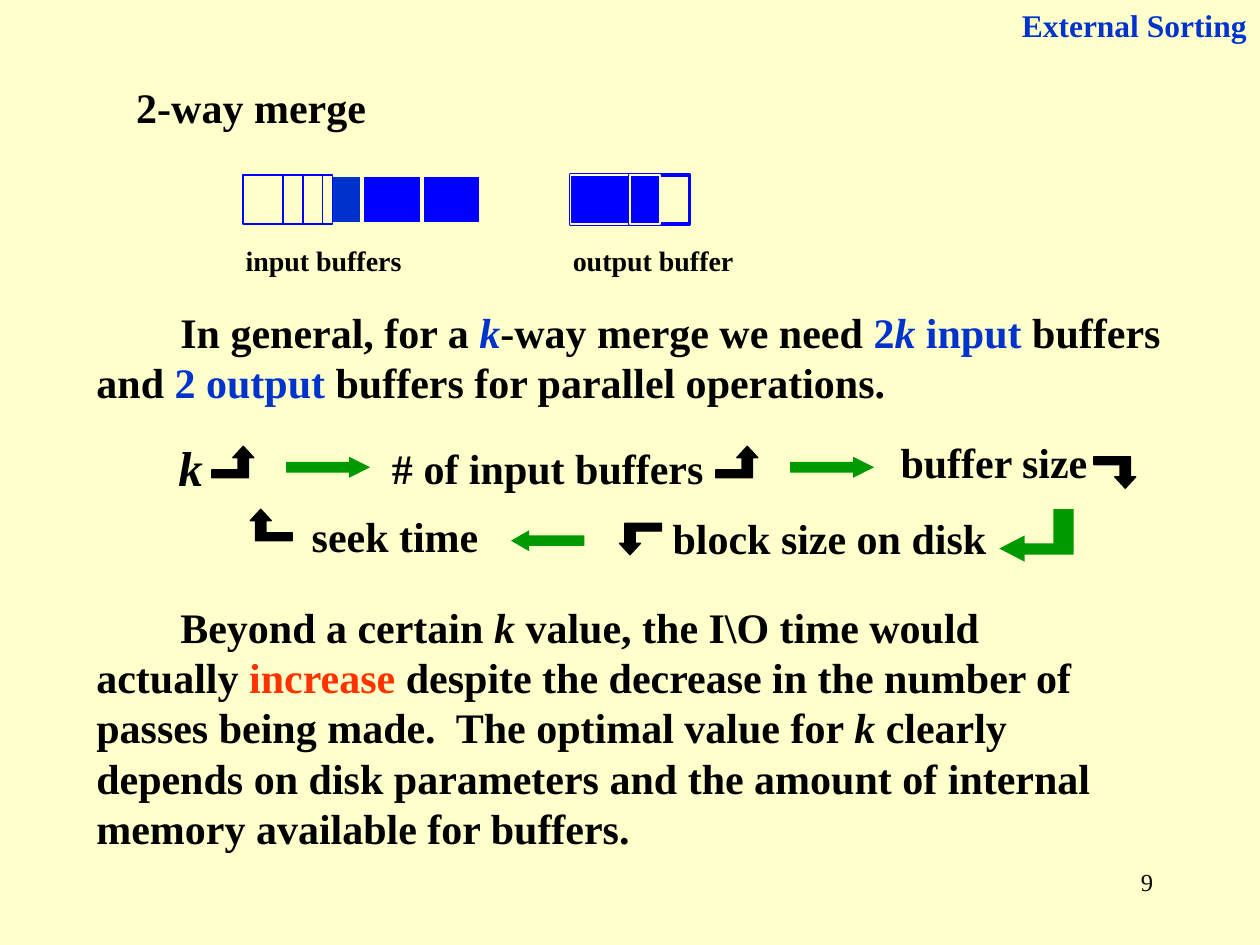
from pptx import Presentation, util as u
from pptx.dml.color import RGBColor
from pptx.enum import shapes, text

Pt = u.Pt
Kind = shapes.MSO_SHAPE
Side = text.PP_ALIGN

BLACK, NAVY, BLUE = "000000", "0033CC", "0000FF"
RED, GREEN, CREAM = "FF3300", "009900", "FFFFCC"

# Outlines in points, from the top left corner of each arrow
BEND = [(18, 0), (12, 6.5), (15, 6.5), (15, 13.5), (0, 13.5),
        (0, 18), (21, 18), (21, 6.5), (24, 6.5)]
TURN = [(0, 22.5), (14.5, 15), (14.5, 19.5), (31, 19.5), (31, 0),
        (42.5, 0), (42.5, 26), (14.5, 26), (14.5, 30)]


def paint(fmt, hue):
    fmt.solid()
    fmt.fore_color.rgb = RGBColor.from_string(hue)


class Page:
    def __init__(self, slide, font="Times New Roman"):
        self.slide = slide
        self.font = font

    def style(self, shape, fill=None, line=None, width=0.75):
        shape.shadow.inherit = False
        if fill:
            paint(shape.fill, fill)
        else:
            shape.fill.background()
        if line:
            paint(shape.line.fill, line)
            shape.line.width = Pt(width)
        else:
            shape.line.fill.background()

    def shape(self, kind, x, y, w, h, *look):
        item = self.slide.shapes.add_shape(kind, Pt(x), Pt(y), Pt(w), Pt(h))
        self.style(item, *look)
        return item

    def arrow(self, kind, x, y, w, head):
        """Draw a straight arrow; head is its head length over its height."""
        item = self.shape(kind, x, y, w, 12, GREEN)
        item.adjustments[0] = 0.5
        item.adjustments[1] = head

    def outline(self, x, y, dots, *look):
        first, *rest = [(Pt(x + dx), Pt(y + dy)) for dx, dy in dots]
        pen = self.slide.shapes.build_freeform(*first, scale=1.0)
        pen.add_line_segments(rest, close=True)
        self.style(pen.convert_to_shape(), *look)

    def bend(self, x, y, left=False, down=False):
        """Draw a black bent arrow that points up at the right, or mirrored."""
        dots = [(24 - dx if left else dx, 18 - dy if down else dy)
                for dx, dy in BEND]
        self.outline(x, y, dots, BLACK, BLACK)

    def text(self, x, y, w, h, runs, size=24, bold=True, align=Side.LEFT,
             indent=0):
        """Add a text box; each run is (words, colour, italic)."""
        box = self.slide.shapes.add_textbox(Pt(x), Pt(y), Pt(w), Pt(h))
        frame = box.text_frame
        frame.word_wrap = True
        para = frame.paragraphs[0]
        para.alignment = align
        if indent:
            para._p.get_or_add_pPr().set("indent", str(Pt(indent)))
        for words, hue, slant in runs:
            run = para.add_run()
            run.text = words
            run.font.name = self.font
            run.font.size = Pt(size)
            run.font.bold = bold
            run.font.italic = slant
            paint(run.font.fill, hue)
        return frame

    def label(self, x, y, w, h, words, size=24, slant=False):
        """Add one centred line that does not wrap."""
        frame = self.text(x, y, w, h, [(words, BLACK, slant)], size,
                          align=Side.CENTER)
        frame.word_wrap = False
        frame.margin_left = frame.margin_right = 0
        frame.vertical_anchor = text.MSO_ANCHOR.MIDDLE


def buffers(page):
    cell, top, high = 34, 100, 28
    start, out = 139, 326
    cells = [  # left edge, width in cells, fill, line, line width
        (start, 1, NAVY, CREAM, 2),
        (start + cell, 1, NAVY, CREAM, 2),
        (out, 1, None, BLUE, 2),
        (start, 2 / 3, CREAM, BLUE, 1),
        (out, 1, BLUE, CREAM, 1),
        (start + cell, 1 / 3, CREAM, BLUE, 1),
        (out + cell, 1, CREAM, BLUE, 2),
        (start + cell * 2 / 3, 1 / 3, CREAM, BLUE, 1),
        (start + cell * 4 / 3, 1 / 6, CREAM, BLUE, 1),
        (out + cell, 1 / 2, BLUE, CREAM, 1),
        (start + 2 * cell, 1, BLUE, CREAM, 2),
        (start + 3 * cell, 1, BLUE, CREAM, 2),
    ]
    for x, part, *look in cells:
        page.shape(Kind.RECTANGLE, x, top, cell * part, high, *look)
    for x, words in ((start, "input buffers"), (out, "output buffer")):
        page.text(x - 5.75, 135.75, 114, 26.5, [(words, BLACK, False)], 16)


def chain(page):
    page.label(91, 249, 36, 36, "k", 28, True)
    page.label(217, 255, 192, 24, "# of input buffers")
    page.label(505, 249, 126, 30, "buffer size")
    page.label(378, 292.5, 192, 30, "block size on disk")
    page.label(144.5, 291, 162.5, 30, "seek time")
    for x in (121, 409):
        page.bend(x, 255)
        page.arrow(Kind.RIGHT_ARROW, x + 42.5, 261, 48, 1)
    page.bend(625, 261, down=True)
    page.outline(571, 291, TURN, GREEN)
    page.bend(354, 299, left=True, down=True)
    page.arrow(Kind.LEFT_ARROW, 292, 303, 42, 0.87)
    page.bend(143, 291, left=True)


def main():
    deck = Presentation()
    deck.slide_width, deck.slide_height = Pt(720), Pt(540)
    slide = deck.slides.add_slide(deck.slide_layouts[6])
    paint(slide.background.fill, CREAM)
    page = Page(slide)

    page.text(516, 492, 150, 36, [("9", BLACK, False)], 14, False, Side.RIGHT)
    page.text(547, 0, 172.5, 29, [("External Sorting", NAVY, False)], 18,
              align=Side.RIGHT)
    page.text(70.75, 43.25, 176, 36, [("2-way merge", BLACK, False)])
    buffers(page)
    page.text(48, 171.5, 630, 65, [
        ("In general, for a ", BLACK, False),
        ("k", NAVY, True),
        ("-way merge we need ", BLACK, False),
        ("2", NAVY, False),
        ("k", NAVY, True),
        (" input", NAVY, False),
        (" buffers and ", BLACK, False),
        ("2 output", NAVY, False),
        (" buffers for parallel operations.", BLACK, False),
    ], indent=48)
    chain(page)
    page.text(48, 340, 601, 151, [
        ("Beyond a certain ", BLACK, False),
        ("k", BLACK, True),
        (" value, the I\\O time would actually ", BLACK, False),
        ("increase", RED, False),
        (" despite the decrease in the number of passes being made.  "
         "The optimal value for ", BLACK, False),
        ("k", BLACK, True),
        (" clearly depends on disk parameters and the amount of internal "
         "memory available for buffers.", BLACK, False),
    ], indent=48)
    deck.save("out.pptx")


if __name__ == "__main__":
    main()
